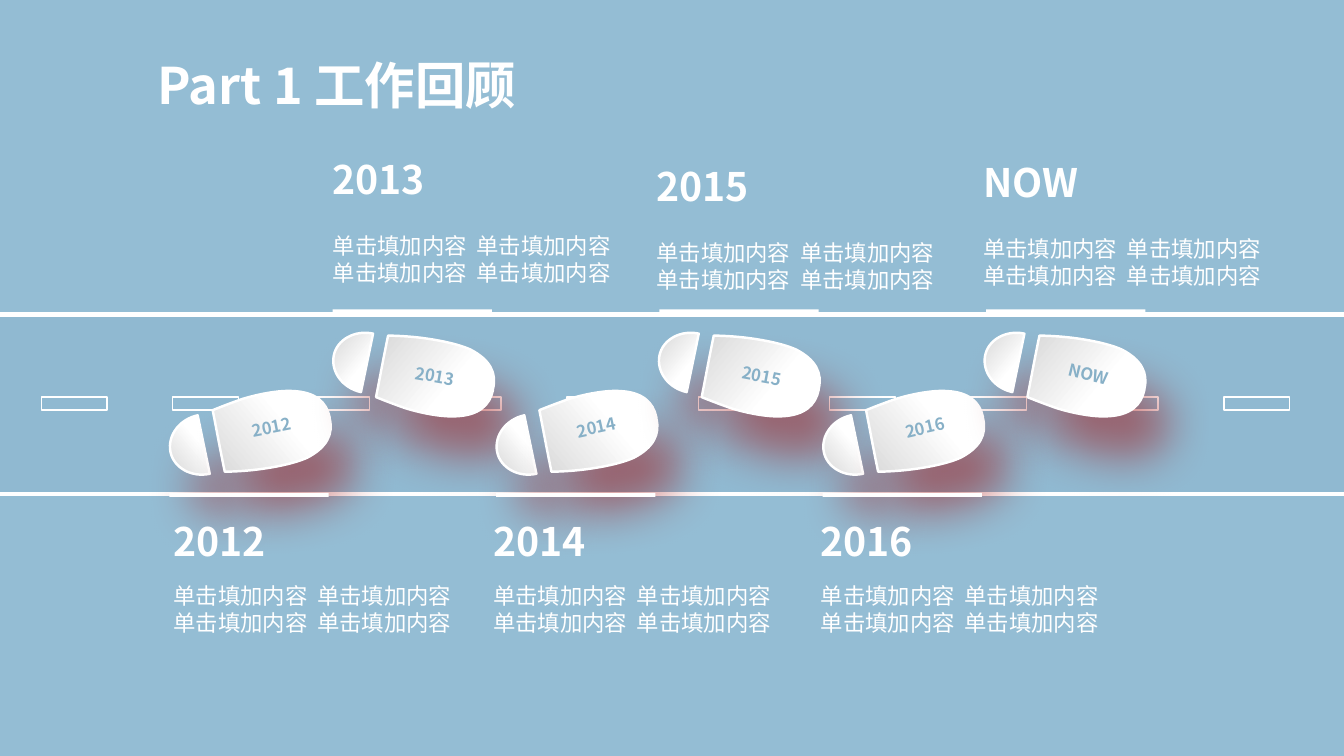
from lxml import etree
from pptx import Presentation
from pptx.dml.color import RGBColor
from pptx.enum.shapes import MSO_SHAPE
from pptx.enum.text import MSO_ANCHOR, PP_ALIGN
from pptx.oxml import parse_xml
from pptx.oxml.ns import nsdecls, qn
from pptx.util import Inches, Pt

RECT = MSO_SHAPE.RECTANGLE
TOP = MSO_ANCHOR.TOP
LEFT, CENTER = PP_ALIGN.LEFT, PP_ALIGN.CENTER

SKY = RGBColor(0x94, 0xBD, 0xD4)
ROAD = RGBColor(0x90, 0xB9, 0xD1)
WHITE = RGBColor(0xFF, 0xFF, 0xFF)
CAR_GREY = RGBColor(0xD9, 0xD9, 0xD9)
CAR_LABEL = RGBColor(0x87, 0xB0, 0xC7)
SHADOW = RGBColor(0xA2, 0x10, 0x11)

BODY_FONT = "Noto Sans CJK JP"
TITLE_FONT = "Noto Sans CJK SC"
NOTE = ["单击填加内容  单击填加内容"] * 2

# Car outlines as chained Bezier points, from the top left of an upper car
HOOD = [(0.28, 0.59), (0.10, 0.55), (-0.02, 0.39), (0.01, 0.23),
        (0.04, 0.07), (0.22, -0.03), (0.40, 0.01),
        (0.40, 0.01), (0.28, 0.59), (0.28, 0.59)]
CABIN = [(0.43, 0.64), (0.43, 0.64), (0.55, 0.69), (0.72, 0.75),
         (0.88, 0.80), (1.09, 0.84), (1.23, 0.83),
         (1.45, 0.82), (1.56, 0.72), (1.59, 0.57),
         (1.59, 0.56), (1.59, 0.56), (1.59, 0.56),
         (1.63, 0.40), (1.56, 0.27), (1.37, 0.17),
         (1.24, 0.11), (1.03, 0.07), (0.86, 0.05),
         (0.69, 0.03), (0.55, 0.03), (0.55, 0.03),
         (0.50, 0.27), (0.47, 0.44), (0.43, 0.64)]

# Lanes: first car left, step, car base, vertical direction, underline top, note width
LOWER = {"left": 1.68, "step": 3.24, "base": 4.71, "side": -1, "angle": 220,
         "underline": 4.89, "note_width": 3.22}
UPPER = {"left": 3.30, "step": 3.23, "base": 3.30, "side": 1, "angle": 140,
         "underline": 3.07, "note_width": 3.05}

# Year, lane, place in lane, label (left, top, rotation), heading (left, top), note top
MILESTONES = [
    ("2012", LOWER, 0, (2.21, 4.09, -11.1), (1.72, 5.13), 5.78),
    ("2013", UPPER, 0, (3.83, 3.58, 9.9), (3.30, 1.54), 2.30),
    ("2014", LOWER, 1, (5.43, 4.09, -12.4), (4.89, 5.13), 5.78),
    ("2015", UPPER, 1, (7.07, 3.58, 10.5), (6.51, 1.61), 2.37),
    ("2016", LOWER, 2, (8.69, 4.09, -13.1), (8.14, 5.13), 5.78),
    ("NOW", UPPER, 2, (10.31, 3.56, 14.1), (9.75, 1.57), 2.33),
]


def add_bar(slide, left, top, width, height, fill=None, line_width=0):
    bar = slide.shapes.add_shape(RECT, Inches(left), Inches(top),
                                 Inches(width), Inches(height))
    bar.shadow.inherit = False
    if fill is None:
        bar.fill.background()
    else:
        bar.fill.solid()
        bar.fill.fore_color.rgb = fill
    if line_width:
        bar.line.color.rgb = WHITE
        bar.line.width = Pt(line_width)
    else:
        bar.line.fill.background()


def add_text(slide, lines, left, top, width, height, size, color=WHITE, bold=False,
             font=BODY_FONT, align=LEFT, inset=(0, 0), wrap=True, rotation=0):
    box = slide.shapes.add_textbox(Inches(left), Inches(top),
                                   Inches(width), Inches(height))
    box.rotation = rotation
    frame = box.text_frame
    side, edge = map(Inches, inset)
    layout = {"word_wrap": wrap, "vertical_anchor": TOP,
              "margin_left": side, "margin_right": side,
              "margin_top": edge, "margin_bottom": edge}
    for name, value in layout.items():
        setattr(frame, name, value)
    frame.text = "\n".join(lines)
    for paragraph in frame.paragraphs:
        paragraph.alignment = align
        run = paragraph.runs[0]
        for name, value in {"size": Pt(size), "bold": bold, "name": font}.items():
            setattr(run.font, name, value)
        run.font.color.rgb = color
        east_asian = etree.SubElement(run.font._element, qn("a:ea"))
        east_asian.set("typeface", font)


def bend_segments(part, points):
    """Turn each straight segment into the Bezier curve with its control points."""
    segments = list(part._element.iter(qn("a:lnTo")))
    for index, segment in enumerate(segments):
        segment.tag = qn("a:cubicBezTo")
        for vertex in list(segment):
            segment.remove(vertex)
        for x, y in points[3 * index + 1:3 * index + 4]:
            vertex = etree.SubElement(segment, qn("a:pt"))
            vertex.set("x", str(x - part.left))
            vertex.set("y", str(y - part.top))


def add_car_part(slide, outline, left, lane):
    points = [(Inches(left + x), Inches(lane["base"] + lane["side"] * y))
              for x, y in outline]
    builder = slide.shapes.build_freeform(*points[0])
    builder.add_line_segments(points[3::3], close=False)
    part = builder.convert_to_shape()
    bend_segments(part, points)
    part.line.color.rgb = WHITE
    part.line.width = Pt(1.75)

    # White to grey shading; the first stop keeps most of the car white
    part.fill.gradient()
    part.fill.gradient_angle = lane["angle"]
    stops = part.fill.gradient_stops
    for stop, color, position in zip(stops, (WHITE, CAR_GREY), (0.36, 1)):
        stop.color.rgb = color
        stop.position = position

    # Soft red shadow, down and to the right
    part._element.spPr.append(parse_xml(
        f'<a:effectLst {nsdecls("a")}><a:outerShdw blurRad="{Pt(33)}" '
        f'dist="{Pt(33)}" dir="3600000" algn="tl" rotWithShape="0">'
        f'<a:srgbClr val="{SHADOW}"><a:alpha val="50000"/></a:srgbClr>'
        '</a:outerShdw></a:effectLst>'))


def add_milestone_text(slide, year, lane, label, heading, note_top):
    label_left, label_top, rotation = label
    left, heading_top = heading
    add_text(slide, [year], label_left, label_top, 0.97, 0.3, 12, CAR_LABEL, bold=True,
             align=CENTER, inset=(0.1, 0.05), rotation=rotation)
    add_text(slide, NOTE, left, note_top, lane["note_width"], 0.54, 16)
    add_text(slide, [year], left, heading_top, lane["note_width"], 0.47, 28, bold=True)


def main():
    prs = Presentation()
    prs.slide_width, prs.slide_height = Inches(13.33), Inches(7.5)
    slide = prs.slides.add_slide(prs.slide_layouts[6])
    slide.background.fill.solid()
    slide.background.fill.fore_color.rgb = SKY

    # Road with its dashed centre line
    add_bar(slide, -0.35, 3.12, 14.08, 1.78, ROAD, 3)
    for dash in range(10):
        add_bar(slide, 0.41 + 11.73 / 9 * dash, 3.94, 0.65, 0.13, line_width=1)

    # Cars
    for _, lane, place, *_ in MILESTONES:
        for outline in (HOOD, CABIN):
            add_car_part(slide, outline, lane["left"] + lane["step"] * place, lane)

    # Underlines and texts
    for _, lane, place, *_ in MILESTONES:
        add_bar(slide, lane["left"] + 3.24 * place, lane["underline"],
                1.58, 0.04, WHITE)
    for year, lane, _, label, heading, note_top in MILESTONES:
        add_milestone_text(slide, year, lane, label, heading, note_top)

    # Title
    add_text(slide, ["Part 1 工作回顾"], 1.46, 0.49, 3.88, 0.71, 36, bold=True,
             font=TITLE_FONT, inset=(0.1, 0.05), wrap=False)

    prs.save("out.pptx")


if __name__ == "__main__":
    main()
